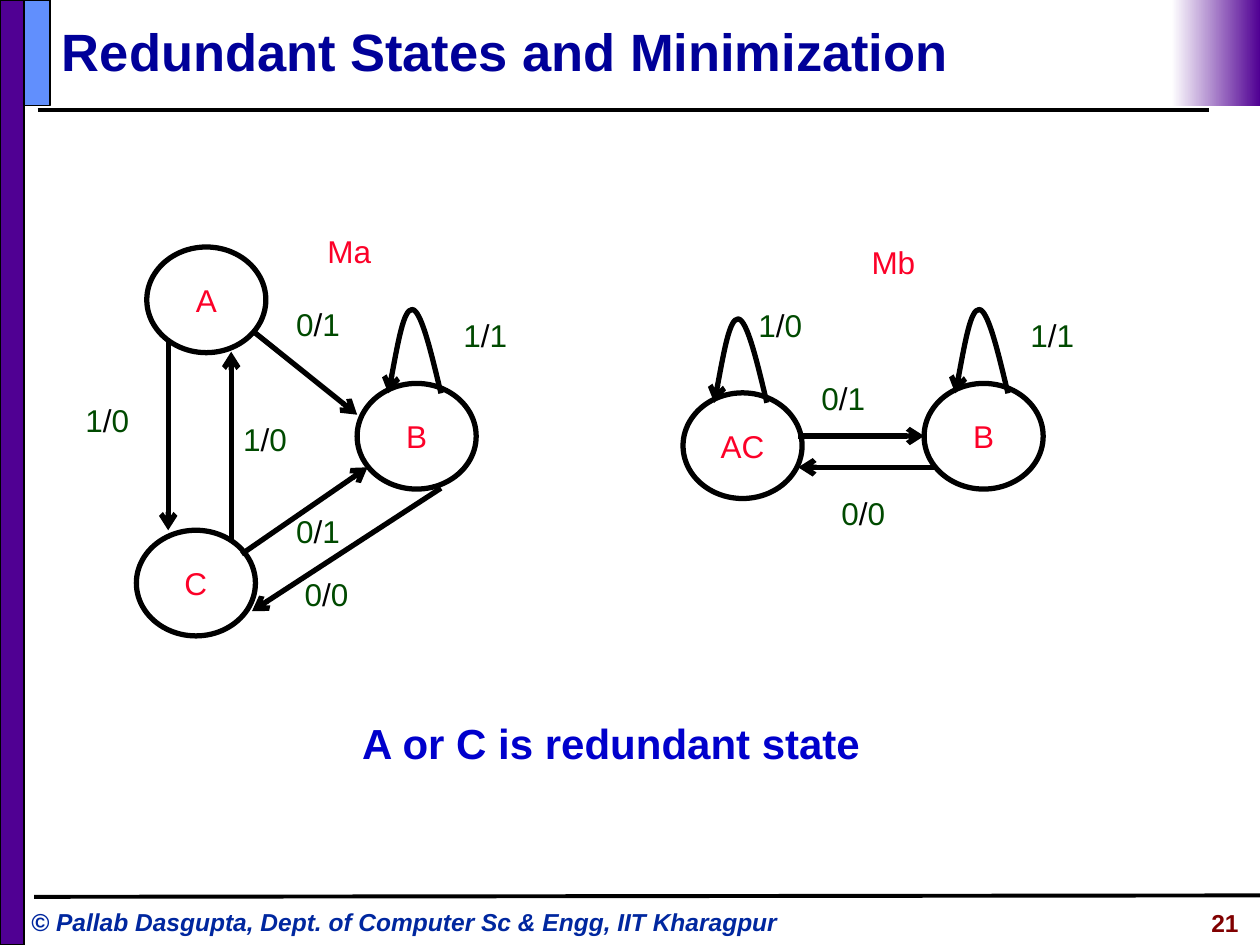
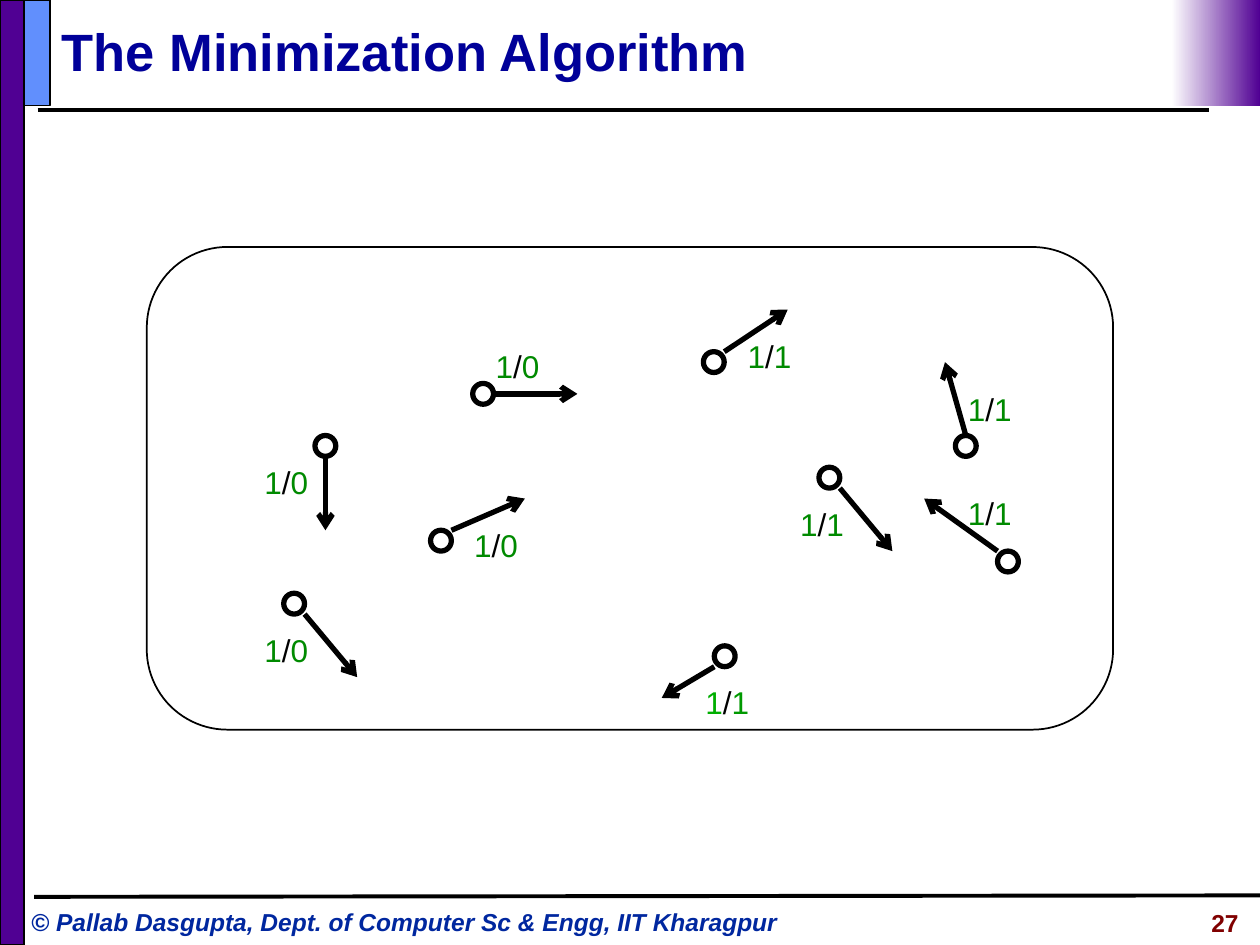
from pptx import Presentation
from pptx.dml.color import RGBColor
from pptx.enum.shapes import MSO_CONNECTOR, MSO_SHAPE
from pptx.enum.text import MSO_ANCHOR, PP_ALIGN
from pptx.oxml.ns import qn
from pptx.util import Cm, Pt
from lxml.etree import SubElement

COLORS = {
    "black": "000000", "white": "FFFFFF", "purple": "500093",
    "sky": "618FFD", "title": "000099", "footer": "00279F",
    "number": "800000", "note": "0000CC", "state": "FC0128",
    "forest": "004A00", "green": "008A00", "lime": "00AE00", "leaf": "009900",
}
FONT = "Arial"
WIDTH, HEIGHT = 25.4, 19.05
BAND = 2.13             # height of the title band
STATE = (2.4, 2.13)     # size of a state
LOOP = (1.06, 1.69)     # size of a self loop
SHIFT = (0.63, -1.49)   # self loop from the corner of its state
# Start, then two curves of three points each, as shares of the loop size
CURVE = [(1, 1), (0.81, 0.5), (0.62, 0), (0.45, 0),
         (0.29, 0), (0.15, 0.5), (0, 1)]
DOT = 0.42


def rgb(name):
    return RGBColor.from_string(COLORS[name])


class Deck:
    def __init__(self):
        self.prs = Presentation()
        self.prs.slide_width, self.prs.slide_height = Cm(WIDTH), Cm(HEIGHT)
        self.slide = None

    def new(self, title, number):
        """Start a slide with the shared frame."""
        self.slide = self.prs.slides.add_slide(self.prs.slide_layouts[6])
        # Rules and bands
        self.line((0.76, 2.21), (24.38, 2.21), 2.25)
        self.line((0.69, 18.08), (WIDTH, 18.05), 2.25)
        self.shape(MSO_SHAPE.RECTANGLE, 0, 0, 0.48, HEIGHT, 1, "purple")
        self.shape(MSO_SHAPE.RECTANGLE, 0.48, 0, 0.53, BAND, 1, "sky")
        fade = self.shape(MSO_SHAPE.RECTANGLE, 23.62, 0, 1.78, BAND)
        fade.fill.gradient()
        fade.fill.gradient_angle = 0
        for stop, name in zip(fade.fill.gradient_stops, ("white", "purple")):
            stop.color.rgb = rgb(name)
        # Title, footer and slide number
        self.text(1, 0.25, 23.11, 1.55, [(title, "title")], 30, bold=True,
                  anchor=MSO_ANCHOR.MIDDLE)
        self.text(0.38, 18.15, 16.18, 0.87,
                  [("© Pallab Dasgupta, Dept. of Computer Sc & Engg, "
                    "IIT Kharagpur", "footer")], 14, bold=True, italic=True)
        self.text(20.77, 18.19, 4.45, 0.88, [(str(number), "number")], 14,
                  bold=True, align=PP_ALIGN.RIGHT)

    def shape(self, kind, x, y, w, h, weight=0, fill=None):
        item = self.slide.shapes.add_shape(kind, Cm(x), Cm(y), Cm(w), Cm(h))
        self.paint(item, weight, fill)
        return item

    def paint(self, item, weight, fill=None):
        item.shadow.inherit = False
        if fill:
            item.fill.solid()
            item.fill.fore_color.rgb = rgb(fill)
        else:
            item.fill.background()
        if weight:
            self.stroke(item.line, weight)
        else:
            item.line.fill.background()

    def stroke(self, line, weight):
        line.width = Pt(weight)
        line.color.rgb = rgb("black")

    def tip(self, item):
        """Put an open arrowhead at the end of a line."""
        edge = item.element.spPr.find(qn("a:ln"))
        SubElement(edge, qn("a:tailEnd"), type="arrow")

    def line(self, start, end, weight):
        item = self.slide.shapes.add_connector(
            MSO_CONNECTOR.STRAIGHT, *map(Cm, start), *map(Cm, end))
        self.stroke(item.line, weight)
        SubElement(item.element.spPr, qn("a:effectLst"))
        return item

    def arrow(self, start, end):
        self.tip(self.line(start, end, 3))

    def put(self, frame, runs, size, bold=False, italic=False,
            align=PP_ALIGN.LEFT, anchor=MSO_ANCHOR.TOP, wrap=True):
        """Fill a text frame run by run."""
        frame.word_wrap = wrap
        frame.vertical_anchor = anchor
        para = frame.paragraphs[0]
        para.alignment = align
        for words, name in runs:
            run = para.add_run()
            run.text = words
            font = run.font
            font.name, font.size = FONT, Pt(size)
            font.bold, font.italic = bold, italic
            font.color.rgb = rgb(name)

    def text(self, x, y, w, h, runs, size, **style):
        box = self.slide.shapes.add_textbox(Cm(x), Cm(y), Cm(w), Cm(h))
        self.put(box.text_frame, runs, size, **style)

    def label(self, x, y, pair, left, right=None):
        """Add input/output, with the slash in black."""
        first, last = pair.split("/")
        runs = [(first, left), ("/", "black"), (last, right or left)]
        self.text(x, y, 1.72, 1.02, runs, 18)

    def state(self, name, x, y, loop=False):
        item = self.shape(MSO_SHAPE.OVAL, x, y, *STATE, 3)
        self.put(item.text_frame, [(name, "state")], 18, wrap=False,
                 align=PP_ALIGN.CENTER, anchor=MSO_ANCHOR.MIDDLE)
        if loop:
            self.loop(x + SHIFT[0], y + SHIFT[1])

    def loop(self, x, y):
        spots = [(Cm(x + u * LOOP[0]), Cm(y + v * LOOP[1])) for u, v in CURVE]
        pen = self.slide.shapes.build_freeform(*spots[0])
        pen.add_line_segments(spots[1:], close=False)
        item = pen.convert_to_shape()
        # Turn each three straight steps into one cubic curve
        route = item.element.find(".//" + qn("a:path"))
        steps = route.findall(qn("a:lnTo"))
        for i in range(0, len(steps), 3):
            cubic = SubElement(route, qn("a:cubicBezTo"))
            for step in steps[i:i + 3]:
                cubic.append(step[0])
                route.remove(step)
        self.paint(item, 3)
        self.tip(item)

    def dot(self, x, y, side, end):
        """Draw a dot and the arrow that leaves it from one side or corner."""
        self.shape(MSO_SHAPE.OVAL, x, y, DOT, DOT, 3)
        self.arrow((x + side[0] * DOT, y + side[1] * DOT), end)


def states(deck):
    deck.new("Redundant States and Minimization", 21)
    # States: name, left, top, self loop
    for name, x, y, loop in [
            ("A", 2.96, 4.98, False), ("B", 7.2, 7.73, True),
            ("C", 2.75, 10.69, False),
            ("AC", 13.77, 7.92, True), ("B", 18.63, 7.73, True)]:
        deck.state(name, x, y, loop)
    # Moves between states
    for start, end in [
            ((5.08, 6.66), (7.2, 8.36)), ((4.87, 11.17), (7.41, 9.42)),
            ((3.39, 6.87), (3.39, 10.69)), ((4.66, 10.9), (4.66, 7.09)),
            ((8.89, 9.84), (5.08, 12.32)),
            ((16.09, 8.79), (18.63, 8.79)), ((18.84, 9.42), (16.09, 9.42))]:
        deck.arrow(start, end)
    # Input/output of each move
    for pair, x, y in [
            ("1/1", 9.09, 6.24), ("1/0", 1.47, 7.96), ("0/1", 5.72, 6.02),
            ("0/1", 5.72, 10.2), ("1/0", 4.65, 8.35), ("0/0", 5.89, 11.47),
            ("1/1", 20.52, 6.24), ("0/1", 16.31, 7.51),
            ("1/0", 15.04, 6.04), ("0/0", 16.71, 9.83)]:
        deck.label(x, y, pair, "forest")
    # Machine names and the finding
    for name, x, y in [("Ma", 6.35, 4.55), ("Mb", 17.32, 4.78)]:
        deck.text(x, y, 1.72, 1.02, [(name, "state")], 18)
    deck.text(4.8, 14.33, 15.04, 1.27, [("A or C is redundant state", "note")],
              24, bold=True, align=PP_ALIGN.CENTER)


def method(deck):
    deck.new("The Minimization Algorithm", 27)
    frame = deck.shape(MSO_SHAPE.ROUNDED_RECTANGLE,
                       2.96, 4.98, 19.48, 9.73, 1)
    frame.adjustments[0] = 0.167
    # Dots: left, top, side the arrow leaves, arrow end, label place and text
    for x, y, side, end, place, pair in [
            (6.35, 8.78, (0.5, 1), (6.56, 10.69), (5.08, 9.2), "1/0"),
            (8.68, 10.69, (1, 0), (10.58, 10.05), (9.31, 10.48), "1/0"),
            (5.72, 11.96, (1, 1), (7.2, 13.65), (5.08, 12.59), "1/0"),
            (9.53, 7.73, (1, 0.5), (11.64, 7.94), (9.74, 6.88), "1/0"),
            (14.18, 7.09, (1, 0), (15.88, 6.24), (14.82, 6.67), "1/1"),
            (16.51, 9.42, (1, 1), (17.99, 11.11), (15.88, 10.06), "1/1"),
            (19.26, 8.78, (0.5, 0), (19.05, 7.3), (19.26, 7.73), "1/1"),
            (20.11, 11.11, (0, 0), (18.63, 10.05), (19.26, 9.84), "1/1")]:
        deck.dot(x, y, side, end)
        deck.label(*place, pair, "green")
    # The lowest dot has a label in two other greens
    deck.dot(14.4, 13.02, (0, 1), (13.34, 14.07))
    deck.label(13.97, 13.65, "1/1", "lime", "leaf")


def main():
    deck = Deck()
    states(deck)
    method(deck)
    deck.prs.save("out.pptx")


if __name__ == "__main__":
    main()
